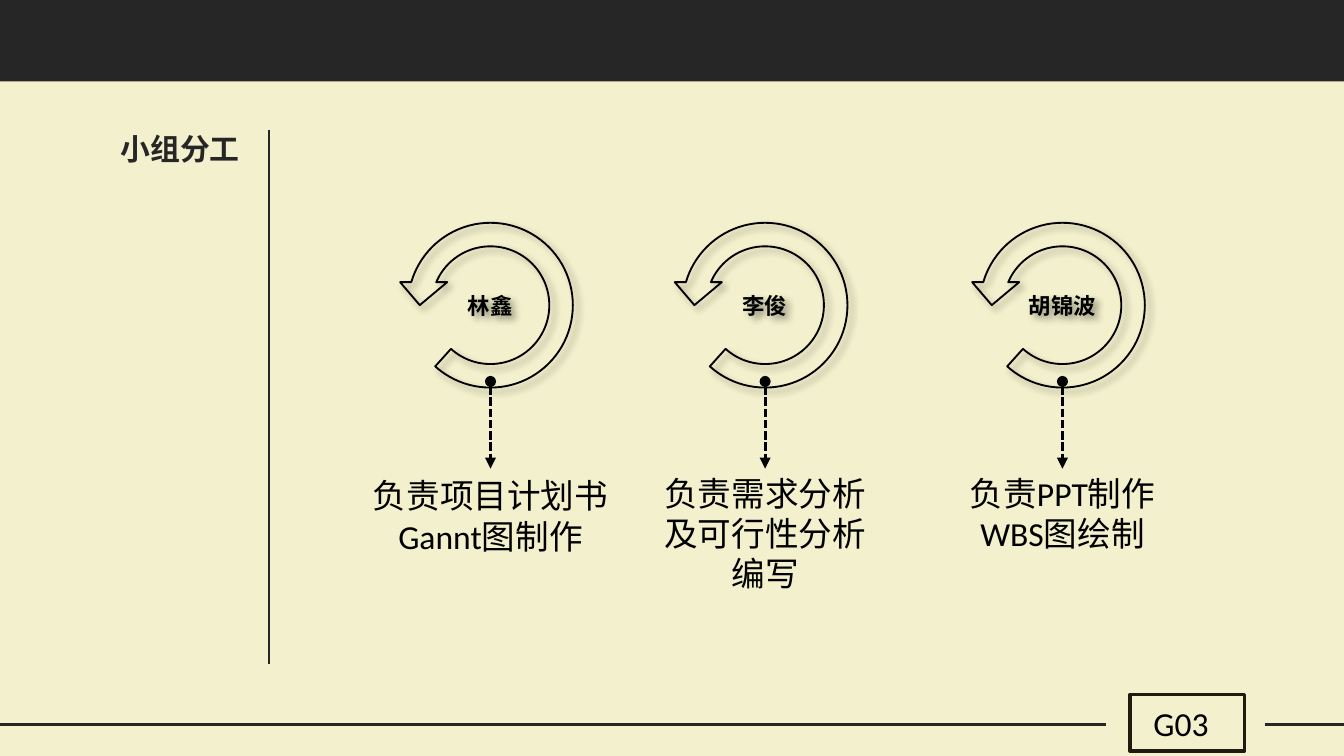
from lxml import etree
from pptx import Presentation
from pptx.dml.color import RGBColor
from pptx.enum.dml import MSO_LINE
from pptx.enum.shapes import MSO_CONNECTOR, MSO_SHAPE
from pptx.enum.text import MSO_ANCHOR as ANCHOR, MSO_AUTO_SIZE as AUTO, PP_ALIGN as ALIGN
from pptx.oxml.ns import qn
from pptx.util import Cm, Pt

COLORS = {"paper": "F3F0CD", "dark": "262626", "frame": "1E1C11", "ink": "000000"}
LATIN, CJK = "Calibri", "Noto Sans CJK SC"


def rgb(name):
    return RGBColor.from_string(COLORS[name])


def sub(parent, tag, **attrs):
    return etree.SubElement(parent, qn(tag), attrs)


class SlideBuilder:
    def __init__(self, slide):
        self.slide = slide
        fill = slide.background.fill
        fill.solid()
        fill.fore_color.rgb = rgb("paper")

    def set_text(self, sp, lines, size, font=LATIN, color="ink", bold=False,
                 align=ALIGN.CENTER, anchor=ANCHOR.TOP, wrap=True):
        tf = sp.text_frame
        tf.text = "\n".join(lines)
        tf.word_wrap = wrap
        tf.auto_size = AUTO.NONE
        tf.vertical_anchor = anchor
        for p in tf.paragraphs:
            p.alignment = align
            p.font.name, p.font.size, p.font.bold = font, Pt(size), bold
            p.font.color.rgb = rgb(color)
            # Typeface of the Chinese characters
            latin = p._p.pPr.find(qn("a:defRPr")).find(qn("a:latin"))
            latin.addnext(etree.Element(qn("a:ea"), typeface=CJK))

    def title(self, text, x, y, w, h):
        sp = self.slide.shapes.title
        sp.left, sp.top, sp.width, sp.height = Cm(x), Cm(y), Cm(w), Cm(h)
        self.set_text(sp, [text], 16, font=CJK, color="dark", bold=True)

    def text(self, lines, x, y, w, h, **style):
        sp = self.slide.shapes.add_textbox(Cm(x), Cm(y), Cm(w), Cm(h))
        self.set_text(sp, lines, 18, **style)

    def shape(self, kind, x, y, w, h, fill=None, line=None, width=1):
        sp = self.slide.shapes.add_shape(kind, Cm(x), Cm(y), Cm(w), Cm(h))
        sp.shadow.inherit = False
        if fill:
            sp.fill.solid()
            sp.fill.fore_color.rgb = rgb(fill)
        else:
            sp.fill.background()
        if line:
            sp.line.color.rgb = rgb(line)
            sp.line.width = Pt(width)
        else:
            sp.line.fill.background()
        return sp

    def line(self, x1, y1, x2, y2, color, width):
        cxn = self.slide.shapes.add_connector(
            MSO_CONNECTOR.STRAIGHT, Cm(x1), Cm(y1), Cm(x2), Cm(y2))
        cxn.line.color.rgb = rgb(color)
        cxn.line.width = Pt(width)
        sub(cxn._element.spPr, "a:effectLst")
        return cxn

    def pointer(self, x, y1, y2):
        cxn = self.line(x, y1, x, y2, "ink", 1.5)
        cxn.line.dash_style = MSO_LINE.SQUARE_DOT
        ln = cxn._element.spPr.find(qn("a:ln"))
        sub(ln, "a:headEnd", type="oval")
        sub(ln, "a:tailEnd", type="triangle")

    def ring(self, name, cx, y, size):
        sp = self.shape(MSO_SHAPE.CIRCULAR_ARROW, cx - size / 2, y, size, size, line="ink")
        for i, value in enumerate((0.125, 11.423, 204.577, 28.753, 0.125)):
            sp.adjustments[i] = value
        spPr = sp._element.spPr
        spPr.find(qn("a:xfrm")).set("flipH", "1")
        # Soft shadow towards the lower right
        shadow = sub(spPr.find(qn("a:effectLst")), "a:outerShdw", blurRad=str(Pt(4)),
                     dist=str(Pt(3)), dir="2700000", algn="tl", rotWithShape="0")
        sub(sub(shadow, "a:srgbClr", val=COLORS["ink"]), "a:alpha", val="40000")
        tf = sp.text_frame
        tf.margin_left = tf.margin_right = Cm(0.18)
        tf.margin_top = tf.margin_bottom = Cm(0.1)
        self.set_text(sp, [name], 12, font=CJK, bold=True, anchor=ANCHOR.MIDDLE)


def main():
    prs = Presentation()
    prs.slide_width, prs.slide_height = Cm(25.4), Cm(14.29)
    s = SlideBuilder(prs.slides.add_slide(prs.slide_layouts[5]))

    # Header band, footer rule and side title
    s.shape(MSO_SHAPE.RECTANGLE, 0, 0, 25.4, 1.54, fill="dark")
    for x1, x2 in ((0, 20.9), (23.9, 25.4)):
        s.line(x1, 13.7, x2, 13.7, "dark", 1.75)
    s.title("小组分工", 1.5, 2.34, 3.81, 0.94)
    s.line(5.08, 2.45, 5.08, 12.55, "dark", 1.25)

    # Group label
    s.shape(MSO_SHAPE.RECTANGLE, 21.36, 13.13, 2.16, 1.07, line="frame", width=2)
    s.text(["G03"], 21.55, 13.16, 1.73, 1.02, align=ALIGN.LEFT, wrap=False)

    # Members: name, centre, duties, top and width of the duties
    members = [
        ("林鑫", 9.27, ["负责项目计划书", "Gannt图制作"], 8.86, 5.0),
        ("李俊", 14.46, ["负责需求分析及可行性分析编写"], 8.81, 4.8),
        ("胡锦波", 20.08, ["负责PPT制作", "WBS图绘制"], 8.81, 8.43),
    ]
    for name, cx, duties, top, width in members:
        s.pointer(cx, 7.21, 8.86)
        s.ring(name, cx, 3.99, 3.56)
        s.text(duties, cx - width / 2, top, width, 2.57)

    prs.save("out.pptx")


if __name__ == "__main__":
    main()
